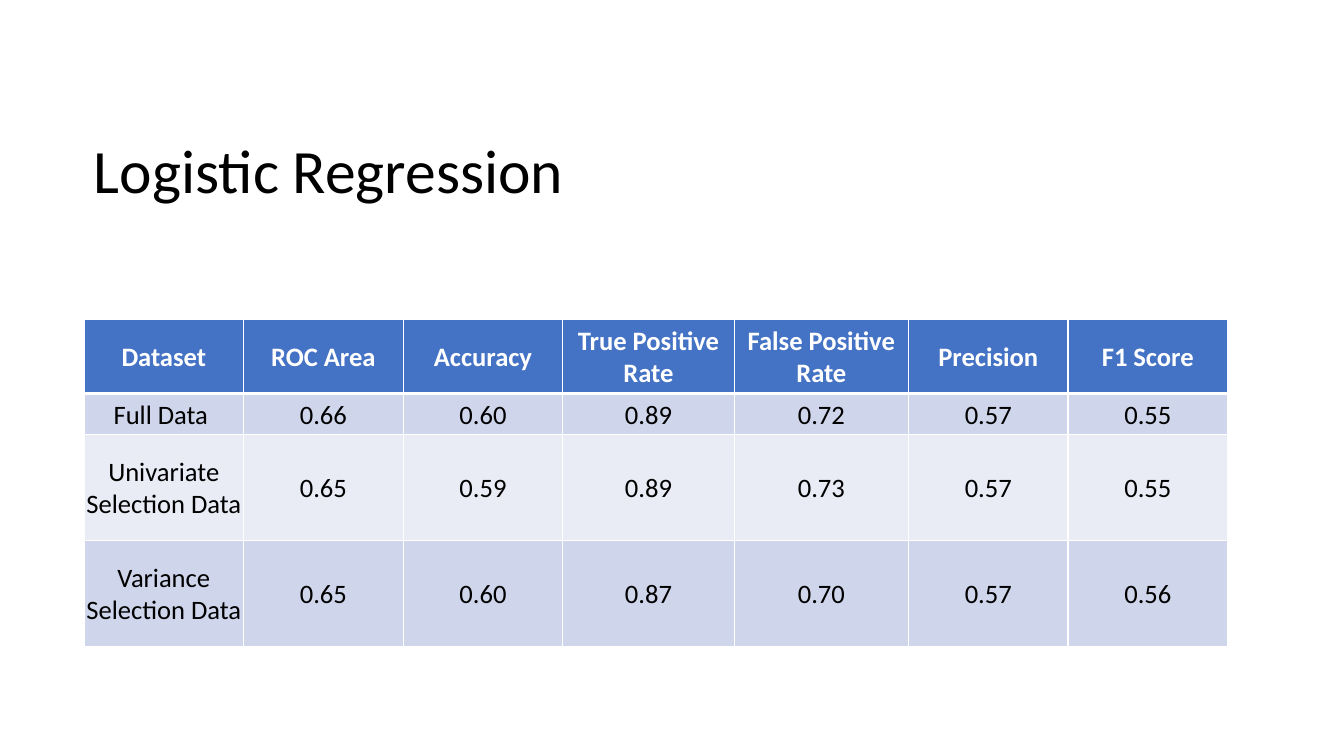
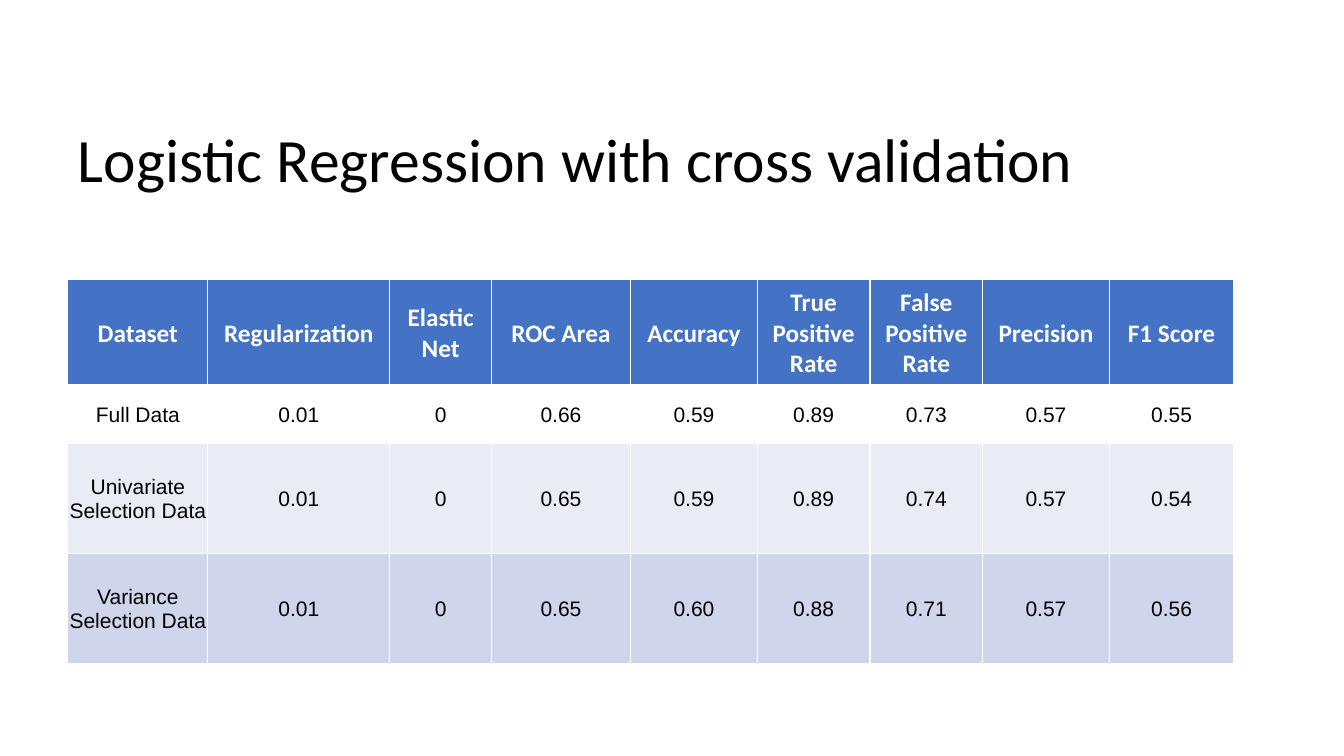
from lxml import etree
from pptx import Presentation
from pptx.dml.color import RGBColor
from pptx.enum.text import MSO_ANCHOR, PP_ALIGN
from pptx.oxml.ns import qn
from pptx.util import Pt

MIDDLE = MSO_ANCHOR.MIDDLE
CENTER = PP_ALIGN.CENTER

# Shared look
BLACK, WHITE = "000000", "FFFFFF"
HEADER_BLUE, BAND_DARK, BAND_LIGHT = "4472C4", "CFD5EA", "E9EBF5"
TITLE_FONT = HEADER_FONT = "Calibri"
TITLE_SIZE, TITLE_HEIGHT = 44, 113
THIN, THICK = 1, 3


def rgb(hex_value):
    return RGBColor.from_string(hex_value)


def style_font(font, name, size, color, bold=False):
    font.name, font.size, font.bold = name, Pt(size), bold
    font.color.rgb = rgb(color)


def add_title(slide, left, top, width, text):
    frame = slide.shapes.add_textbox(
        Pt(left), Pt(top), Pt(width), Pt(TITLE_HEIGHT)).text_frame
    frame.word_wrap = True
    frame.vertical_anchor = MIDDLE
    frame.text = text
    paragraph = frame.paragraphs[0]
    paragraph.line_spacing = 0.9
    style_font(paragraph.runs[0].font, TITLE_FONT, TITLE_SIZE, BLACK)


def add_borders(cell, top, bottom):
    """White rules; called before the fill, which must follow them."""
    properties = cell._tc.get_or_add_tcPr()
    for side, width in (("L", THIN), ("R", THIN), ("T", top), ("B", bottom)):
        line = etree.SubElement(properties, qn(f"a:ln{side}"), w=str(Pt(width)))
        fill = etree.SubElement(line, qn("a:solidFill"))
        etree.SubElement(fill, qn("a:srgbClr"), val=WHITE)


def style_cell(cell, text, inset, fill, font):
    cell.margin_left = cell.margin_right = cell.margin_top = Pt(inset)
    cell.margin_bottom = 0
    cell.vertical_anchor = MIDDLE
    if fill:
        cell.fill.solid()
        cell.fill.fore_color.rgb = rgb(fill)
    else:
        cell.fill.background()
    cell.text = text
    paragraph = cell.text_frame.paragraphs[0]
    paragraph.alignment = CENTER
    style_font(paragraph.runs[0].font, *font)


def add_scores(slide, left, top, widths, heights, rows, header_size,
               body_font, body_size, body_inset, body_fills):
    table = slide.shapes.add_table(
        len(rows), len(widths), Pt(left), Pt(top),
        Pt(sum(widths)), Pt(sum(heights))).table
    table.horz_banding = False
    for column, width in zip(table.columns, widths):
        column.width = Pt(width)
    for row, height in zip(table.rows, heights):
        row.height = Pt(height)

    header = (1.5, HEADER_BLUE, (HEADER_FONT, header_size, WHITE, True))
    body = [(body_inset, fill, (body_font, body_size, BLACK))
            for fill in body_fills]
    for r, (values, style) in enumerate(zip(rows, [header, *body])):
        for c, value in enumerate(values):
            cell = table.cell(r, c)
            add_borders(cell, top=THICK if r == 1 else THIN,
                        bottom=THICK if r == 0 else THIN)
            style_cell(cell, value, *style)


def add_results_slide(prs, left, title_top, title_width, title, table_top,
                      **scores):
    slide = prs.slides.add_slide(prs.slide_layouts[6])
    add_title(slide, left, title_top, title_width, title)
    add_scores(slide, left, table_top, **scores)


METRICS = ["ROC Area", "Accuracy", "True Positive Rate",
           "False Positive Rate", "Precision", "F1 Score"]


def main():
    prs = Presentation()
    prs.slide_width, prs.slide_height = Pt(960), Pt(540)

    # Plain model
    add_results_slide(
        prs, 60, 67.5, 755, "Logistic Regression", 228.5,
        widths=[114, 114, 114, 122.5, 124.5, 114, 114],
        heights=[52.5, 29.5, 75.6, 75.6],
        rows=[
            ["Dataset", *METRICS],
            ["Full Data ", "0.66", "0.60", "0.89", "0.72", "0.57", "0.55"],
            ["Univariate Selection Data",
             "0.65", "0.59", "0.89", "0.73", "0.57", "0.55"],
            ["Variance Selection Data",
             "0.65", "0.60", "0.87", "0.70", "0.57", "0.56"],
        ],
        header_size=19, body_font="Calibri", body_size=19, body_inset=1.5,
        body_fills=[BAND_DARK, BAND_LIGHT, BAND_DARK])

    # Cross-validated model
    add_results_slide(
        prs, 48.5, 59.5, 817, "Logistic Regression with cross validation",
        199.5,
        widths=[100, 130, 72.5, 99.5, 90.5, 80.5, 80.5, 90.5, 89],
        heights=[76, 41.5, 78.5, 78.5],
        rows=[
            ["Dataset", "Regularization", "Elastic Net", *METRICS],
            ["Full Data", "0.01", "0",
             "0.66", "0.59", "0.89", "0.73", "0.57", "0.55"],
            ["Univariate Selection Data", "0.01", "0",
             "0.65", "0.59", "0.89", "0.74", "0.57", "0.54"],
            ["Variance Selection Data", "0.01", "0",
             "0.65", "0.60", "0.88", "0.71", "0.57", "0.56"],
        ],
        header_size=18, body_font="Arial", body_size=15, body_inset=0.7,
        body_fills=[None, BAND_LIGHT, BAND_DARK])

    prs.save("out.pptx")


if __name__ == "__main__":
    main()
